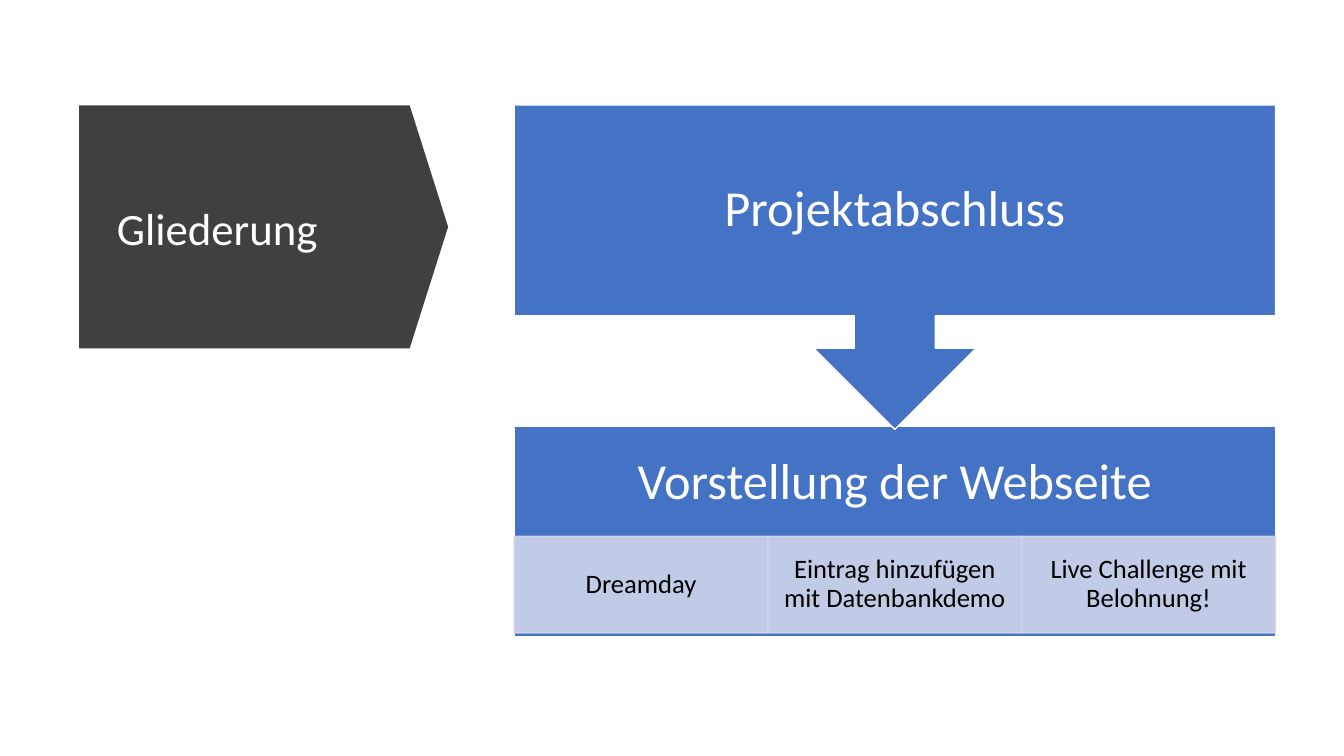
from dataclasses import dataclass

from lxml import etree
from pptx import Presentation
from pptx.dml.color import RGBColor
from pptx.enum import shapes, text
from pptx.oxml import ns
from pptx.util import Inches, Pt


@dataclass(frozen=True)
class Theme:
    font: str = "Calibri"
    white: str = "FFFFFF"
    black: str = "000000"
    dark: str = "404040"
    blue: str = "4472C4"
    pale: str = "CFD5EA"
    title_size: int = 32
    step_size: int = 36
    topic_size: int = 19


THEME = Theme()
LEFT, WIDTH = 5.1, 7.55
TOPICS = [
    "Dreamday",
    "Eintrag hinzufügen mit Datenbankdemo",
    "Live Challenge mit Belohnung!",
]


def set_alpha(color_format, percent):
    for color in color_format._xFill.iter(ns.qn("a:srgbClr")):
        etree.SubElement(color, ns.qn("a:alpha"), val=str(percent * 1000))


def add_block(slide, preset, box, fill, line=None, alpha=None):
    block = slide.shapes.add_shape(preset, *map(Inches, box))
    block.shadow.inherit = False
    block.fill.solid()
    block.fill.fore_color.rgb = RGBColor.from_string(fill)
    if line:
        block.line.color.rgb = RGBColor.from_string(line)
        block.line.width = Pt(1)
    else:
        block.line.fill.background()
    if alpha:
        for color in block._element.spPr.iter(ns.qn("a:srgbClr")):
            etree.SubElement(color, ns.qn("a:alpha"), val=str(alpha * 1000))
    return block


def write(holder, wording, size, color, align, inset_x, inset_y):
    frame = holder.text_frame
    frame.word_wrap = True
    frame.vertical_anchor = text.MSO_ANCHOR.MIDDLE
    frame.margin_left = frame.margin_right = Inches(inset_x)
    frame.margin_top = frame.margin_bottom = Inches(inset_y)
    paragraph = frame.paragraphs[0]
    paragraph.alignment = align
    paragraph.line_spacing = 0.9
    run = paragraph.add_run()
    run.text = wording
    run.font.name = THEME.font
    run.font.size = Pt(size)
    run.font.color.rgb = RGBColor.from_string(color)


def add_title(slide, wording):
    arrow = add_block(slide, shapes.MSO_SHAPE.DOWN_ARROW,
                      (1.41, 0.42, 2.41, 3.66), THEME.dark)
    arrow.rotation = 270
    arrow.adjustments[0] = 1
    arrow.adjustments[1] = 0.158
    label = slide.shapes.add_textbox(*map(Inches, (1.06, 1.32, 2.92, 1.95)))
    write(label, wording, THEME.title_size, THEME.white,
          text.PP_ALIGN.LEFT, 0.1, 0.05)


def add_step(slide, preset, wording, top, height, label_height, rotation=0):
    step = add_block(slide, preset, (LEFT, top, WIDTH, height),
                     THEME.blue, THEME.white)
    step.rotation = rotation
    label = slide.shapes.add_textbox(
        *map(Inches, (LEFT, top, WIDTH, label_height)))
    write(label, wording, THEME.step_size, THEME.white,
          text.PP_ALIGN.CENTER, 0.28, 0.28)


def add_topics(slide, topics, top, height):
    width = WIDTH / len(topics)
    for index, topic in enumerate(topics):
        cell = add_block(slide, shapes.MSO_SHAPE.RECTANGLE,
                         (LEFT + index * width, top, width, height),
                         THEME.pale, THEME.pale, alpha=90)
        write(cell, topic, THEME.topic_size, THEME.black,
              text.PP_ALIGN.CENTER, 0.15, 0.03)


def main():
    deck = Presentation()
    deck.slide_width, deck.slide_height = Inches(13.33), Inches(7.5)
    slide = deck.slides.add_slide(deck.slide_layouts[6])
    add_title(slide, "Gliederung")
    add_step(slide, shapes.MSO_SHAPE.RECTANGLE,
             "Vorstellung der Webseite", 4.23, 2.09, 1.13)
    add_topics(slide, TOPICS, 5.32, 0.96)
    add_step(slide, shapes.MSO_SHAPE.UP_ARROW_CALLOUT,
             "Projektabschluss", 1.04, 3.22, 2.09, rotation=180)
    deck.save("out.pptx")


if __name__ == "__main__":
    main()
